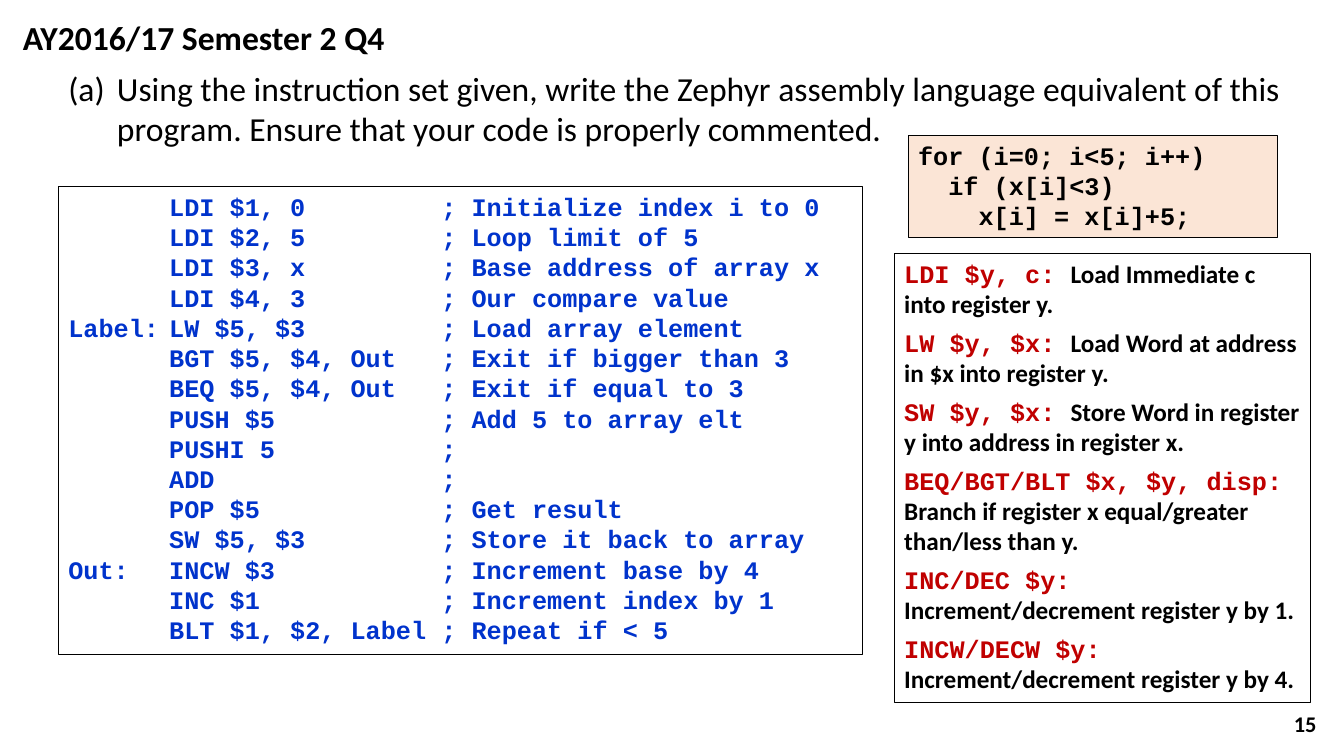
import lxml.etree
import pptx
import pptx.dml.color
import pptx.enum.shapes
import pptx.enum.text
import pptx.oxml.ns
import pptx.util

Pt = pptx.util.Pt
ALIGN = pptx.enum.text.PP_ALIGN
ANCHOR = pptx.enum.text.MSO_ANCHOR
RECT = pptx.enum.shapes.MSO_SHAPE.RECTANGLE

BLACK = pptx.dml.color.RGBColor(0x00, 0x00, 0x00)
BLUE = pptx.dml.color.RGBColor(0x00, 0x33, 0xCC)
RED = pptx.dml.color.RGBColor(0xC0, 0x00, 0x00)
PEACH = pptx.dml.color.RGBColor(0xFB, 0xE5, 0xD6)
SANS = "Calibri"
MONO = "Courier New"

# Label, instruction, comment
CODE = [
    ("", "LDI $1, 0", "Initialize index i to 0"),
    ("", "LDI $2, 5", "Loop limit of 5"),
    ("", "LDI $3, x", "Base address of array x"),
    ("", "LDI $4, 3", "Our compare value"),
    ("Label:", "LW $5, $3", "Load array element"),
    ("", "BGT $5, $4, Out", "Exit if bigger than 3"),
    ("", "BEQ $5, $4, Out", "Exit if equal to 3"),
    ("", "PUSH $5", "Add 5 to array elt"),
    ("", "PUSHI 5", ""),
    ("", "ADD", ""),
    ("", "POP $5", "Get result"),
    ("", "SW $5, $3", "Store it back to array"),
    ("Out:", "INCW $3", "Increment base by 4"),
    ("", "INC $1", "Increment index by 1"),
    ("", "BLT $1, $2, Label", "Repeat if < 5"),
]

LOOP = ["for (i=0; i<5; i++)", "  if (x[i]<3)", "    x[i] = x[i]+5;"]

# Instruction, meaning
GUIDE = [
    ("LDI $y, c: ", "Load Immediate c into register y."),
    ("LW $y, $x: ", "Load Word at address in $x into register y."),
    ("SW $y, $x: ", "Store Word in register y into address in register x."),
    ("BEQ/BGT/BLT $x, $y, disp: ",
     "Branch if register x equal/greater than/less than y."),
    ("INC/DEC $y: ", "Increment/decrement register y by 1."),
    ("INCW/DECW $y: ", "Increment/decrement register y by 4."),
]


def write(shape, lines, size=18, bold=True, align=ALIGN.LEFT,
          anchor=ANCHOR.TOP, after=0, hang=0, tab=0):
    """Fill a shape with lines, each a list of (text, font, colour) runs."""
    frame = shape.text_frame
    frame.word_wrap = True
    frame.vertical_anchor = anchor
    for i, line in enumerate(lines):
        para = frame.paragraphs[0] if i == 0 else frame.add_paragraph()
        para.alignment = align
        para.space_after = Pt(after)
        props = para._p.get_or_add_pPr()
        if hang:
            props.set("marL", str(Pt(hang)))
            props.set("indent", str(-Pt(hang)))
        if tab:
            stops = lxml.etree.SubElement(props, pptx.oxml.ns.qn("a:tabLst"))
            lxml.etree.SubElement(stops, pptx.oxml.ns.qn("a:tab"),
                                  pos=str(Pt(tab)), algn="l")
        for text, font, color in line:
            run = para.add_run()
            run.text = text
            run.font.name = font
            run.font.size = Pt(size)
            run.font.bold = bold
            run.font.color.rgb = color


def label(slide, box, text, **form):
    shape = slide.shapes.add_textbox(*map(Pt, box))
    write(shape, [[(text, SANS, BLACK)]], **form)


def panel(slide, box, lines, fill=None, **form):
    shape = slide.shapes.add_shape(RECT, *map(Pt, box))
    shape.shadow.inherit = False
    if fill is None:
        shape.fill.background()
    else:
        shape.fill.solid()
        shape.fill.fore_color.rgb = fill
    shape.line.color.rgb = BLACK
    shape.line.width = Pt(0.75)
    write(shape, lines, **form)


def head(slide, box):
    x, y, w, h = box
    label(slide, (x, y, 294, 36), "AY2016/17 Semester 2 Q4", size=24)
    label(slide, (x + 32.5, y + 36.3, w - 32.5, h - 36.3),
          "(a) \tUsing the instruction set given, write the Zephyr assembly "
          "language equivalent of this program. Ensure that your code is "
          "properly commented.", size=24, bold=False, after=6, hang=34.75)


def answer(slide, box):
    rows = [f"{mark}\t{order:<18}; {note}".rstrip()
            for mark, order, note in CODE]
    panel(slide, box, [[(row, MONO, BLUE)] for row in rows], tab=72)


def side(slide, box):
    x, y, w, h = box
    # Program to translate
    panel(slide, (x + 10, y, 263.5, 73),
          [[(row, MONO, BLACK)] for row in LOOP], fill=PEACH)
    # Instruction set
    panel(slide, (x, y + 84.5, w, h - 84.5),
          [[(order, MONO, RED), (note, SANS, BLACK)]
           for order, note in GUIDE], after=6)


def main():
    deck = pptx.Presentation()
    deck.slide_width, deck.slide_height = Pt(960), Pt(540)
    slide = deck.slides.add_slide(deck.slide_layouts[6])
    # Page number
    label(slide, (731.5, 502.5, 216, 28.75), "15", size=16,
          align=ALIGN.RIGHT, anchor=ANCHOR.MIDDLE)
    head(slide, (9.25, 8.5, 912.5, 101.5))
    answer(slide, (41.75, 133, 574.5, 334.5))
    side(slide, (638.75, 96.5, 297.5, 405.5))
    deck.save("out.pptx")


if __name__ == "__main__":
    main()
